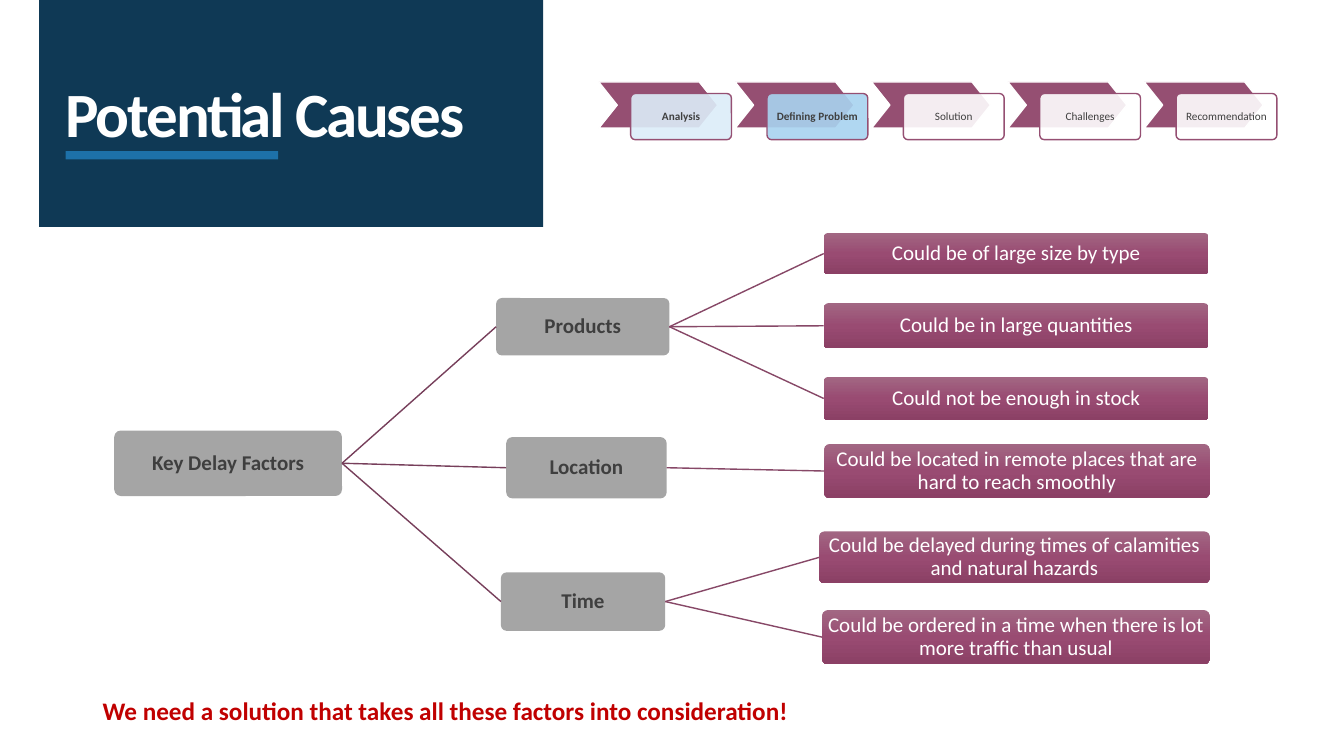
from dataclasses import dataclass

from lxml import etree
from pptx import Presentation
from pptx.dml.color import RGBColor
from pptx.enum import shapes, text
from pptx.oxml import ns, parse_xml
from pptx.util import Pt


@dataclass(frozen=True)
class Theme:
    font: str = "Calibri"
    navy: str = "0F3955"
    blue: str = "1E73AC"
    plum: str = "954F72"
    trunk_line: str = "773F5B"
    branch_line: str = "874867"
    gray: str = "A5A5A5"
    dark: str = "3F3F3F"
    white: str = "FFFFFF"
    red: str = "C00000"
    done: str = "DCEDF9"
    current: str = "A8D3F0"
    leaf_stops: tuple = ((0, "A26783"), (50, "994B72"), (100, "8B4065"))
    title_size: float = 45
    message_size: float = 18
    node_size: float = 15
    step_size: float = 8


THEME = Theme()

# Process steps: label, card colour, bold
STEPS = [
    ("Analysis", THEME.done, True),
    ("Defining Problem", THEME.current, True),
    ("Solution", THEME.white, False),
    ("Challenges", THEME.white, False),
    ("Recommendation", THEME.white, False),
]

# Cause tree: label, (left, top, width, height) in points, children
ROOT = ("Key Delay Factors", (81.6, 307.5, 162.7, 46.8))
FACTORS = [
    ("Products", (354.4, 212.9, 123.8, 41), [
        ("Could be of large size by type", (588.4, 166.5, 275, 29.3)),
        ("Could be in large quantities", (588.4, 216.6, 275, 32.2)),
        ("Could not be enough in stock", (588.4, 269.3, 275, 30.7)),
    ]),
    ("Location", (361.6, 312.2, 114.6, 43.8), [
        ("Could be located in remote places that are hard to reach smoothly",
         (588.8, 317.1, 275.2, 38.7)),
    ]),
    ("Time", (357.8, 408.8, 117.4, 41.8), [
        ("Could be delayed during times of calamities and natural hazards",
         (585.2, 379.6, 278.8, 37)),
        ("Could be ordered in a time when there is lot more traffic than usual",
         (587.4, 435.8, 276.6, 38.7)),
    ]),
]


def set_alpha(fill_element, percent):
    color = next(fill_element.iter(ns.qn("a:srgbClr")))
    etree.SubElement(color, ns.qn("a:alpha")).set("val", str(percent * 1000))


def add_text(shape, words, size, color, bold=False, align=text.PP_ALIGN.CENTER,
             anchor=text.MSO_ANCHOR.MIDDLE, insets=(0.5, 0.5, 0.5, 0.5), spacing=None):
    frame = shape.text_frame
    frame.word_wrap = True
    frame.vertical_anchor = anchor
    frame.margin_left, frame.margin_top, frame.margin_right, frame.margin_bottom = map(Pt, insets)
    paragraph = frame.paragraphs[0]
    paragraph.alignment = align
    paragraph.line_spacing = 0.9
    run = paragraph.add_run()
    run.text = words
    run.font.name = THEME.font
    run.font.size = Pt(size)
    run.font.bold = bold
    run.font.color.rgb = RGBColor.from_string(color)
    if spacing is not None:
        run._r.get_or_add_rPr().set("spc", str(int(spacing * 100)))


def add_box(slide, kind, bounds, fill=None, line=None, adjust=None):
    shape = slide.shapes.add_shape(kind, *map(Pt, bounds))
    shape.shadow.inherit = False
    if adjust is not None:
        shape.adjustments[0] = adjust
    if fill:
        shape.fill.solid()
        shape.fill.fore_color.rgb = RGBColor.from_string(fill)
    if line:
        shape.line.color.rgb = RGBColor.from_string(line)
        shape.line.width = Pt(1)
    else:
        shape.line.fill.background()
    return shape


def add_line(slide, color, width, points=(0, 0, 0, 0)):
    line = slide.shapes.add_connector(shapes.MSO_CONNECTOR.STRAIGHT, *map(Pt, points))
    line.line.color.rgb = RGBColor.from_string(color)
    line.line.width = Pt(width)
    etree.SubElement(line._element.spPr, ns.qn("a:effectLst"))
    return line


def join(slide, parent, child, color):
    line = add_line(slide, color, 1)
    line.begin_connect(parent, 3)
    line.end_connect(child, 1)


def add_node(slide, words, bounds):
    node = add_box(slide, shapes.MSO_SHAPE.ROUNDED_RECTANGLE, bounds, THEME.gray, adjust=0.1)
    add_text(node, words, THEME.node_size, THEME.dark, bold=True)
    return node


def add_leaf(slide, words, bounds):
    leaf = add_box(slide, shapes.MSO_SHAPE.ROUNDED_RECTANGLE, bounds, adjust=0.1)
    stops = "".join(f'<a:gs pos="{position * 1000}"><a:srgbClr val="{color}"/></a:gs>'
                    for position, color in THEME.leaf_stops)
    gradient = parse_xml(f'<a:gradFill {ns.nsdecls("a")} rotWithShape="1"><a:gsLst>{stops}</a:gsLst>'
                         '<a:lin ang="5400000" scaled="0"/></a:gradFill>')
    leaf._element.spPr.find(ns.qn("a:prstGeom")).addnext(gradient)
    add_text(leaf, words, THEME.node_size, THEME.white)
    return leaf


def add_step(slide, left, label, fill, bold):
    add_box(slide, shapes.MSO_SHAPE.CHEVRON, (left, 58.6, 85, 33), THEME.plum, THEME.white, 0.4)
    card = add_box(slide, shapes.MSO_SHAPE.ROUNDED_RECTANGLE, (left + 22.8, 66.8, 72, 33),
                   fill, THEME.plum, 0.1)
    set_alpha(card._element.spPr.find(ns.qn("a:solidFill")), 90)
    add_text(card, label, THEME.step_size, THEME.dark, bold, insets=(4, 4, 4, 4))


def add_title(slide):
    add_box(slide, shapes.MSO_SHAPE.RECTANGLE, (28, 0, 360, 162), THEME.navy)
    underline = add_line(slide, THEME.blue, 6, (198.7, 110.9, 46.8, 110.9))
    set_alpha(underline._element.spPr, 97)
    title = slide.shapes.add_textbox(*map(Pt, (46.8, 27.4, 293.8, 80.6)))
    add_text(title, "Potential Causes", THEME.title_size, THEME.white, bold=True,
             align=text.PP_ALIGN.LEFT, anchor=text.MSO_ANCHOR.BOTTOM,
             insets=(0, 3.6, 7.2, 0), spacing=-1.5)


def add_cause_tree(slide):
    root = add_node(slide, *ROOT)
    for label, bounds, causes in FACTORS:
        factor = add_node(slide, label, bounds)
        join(slide, root, factor, THEME.trunk_line)
        for words, leaf_bounds in causes:
            join(slide, factor, add_leaf(slide, words, leaf_bounds), THEME.branch_line)


def main():
    presentation = Presentation()
    presentation.slide_width, presentation.slide_height = Pt(960), Pt(540)
    slide = presentation.slides.add_slide(presentation.slide_layouts[6])

    # Title panel
    add_title(slide)

    # Process steps
    for index, step in enumerate(STEPS):
        add_step(slide, 427.7 + 97.4 * index, *step)

    # Cause tree
    add_cause_tree(slide)

    # Closing message
    message = slide.shapes.add_textbox(*map(Pt, (66.2, 466.6, 846.7, 85)))
    add_text(message, "We need a solution that takes all these factors into consideration!",
             THEME.message_size, THEME.red, bold=True, align=text.PP_ALIGN.LEFT,
             insets=(7.2, 3.6, 7.2, 3.6))

    presentation.save("out.pptx")


if __name__ == "__main__":
    main()
